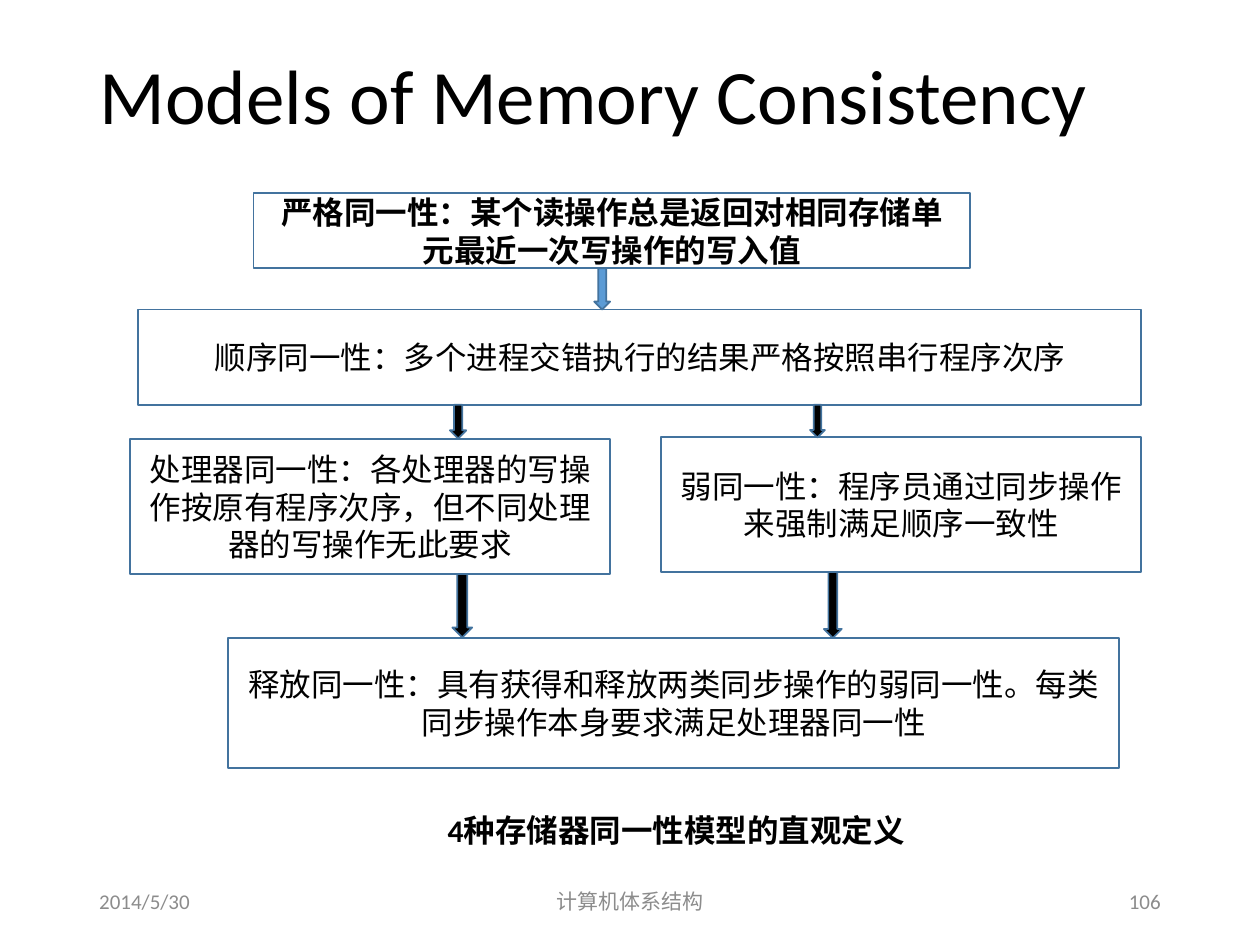
import pptx
import pptx.dml.color
import pptx.enum.shapes
import pptx.enum.text
import pptx.util

Cm = pptx.util.Cm
SHAPE = pptx.enum.shapes.MSO_SHAPE
ALIGN = pptx.enum.text.PP_ALIGN
ANCHOR = pptx.enum.text.MSO_ANCHOR

BLACK, GREY, BLUE, OUTLINE = "000000", "8C8C8C", "5B9BD5", "43739E"

# Consistency models: text, (left, top, width, height) in cm, bold
MODELS = [
    ("严格同一性：某个读操作总是返回对相同存储单元最近一次写操作的写入值",
     (5.11, 3.89, 14.45, 1.52), True),
    ("顺序同一性：多个进程交错执行的结果严格按照串行程序次序",
     (2.79, 6.24, 20.22, 1.92), False),
    ("处理器同一性：各处理器的写操作按原有程序次序，但不同处理器的写操作无此要求",
     (2.62, 8.85, 9.68, 2.72), False),
    ("弱同一性：程序员通过同步操作来强制满足顺序一致性",
     (13.33, 8.81, 9.68, 2.72), False),
    ("释放同一性：具有获得和释放两类同步操作的弱同一性。每类同步操作本身要求满足处理器同一性",
     (4.6, 12.86, 17.96, 2.62), False),
]

# Arrows from weaker to stricter rows: (left, top, width, height) in cm, fill
ARROWS = [
    ((11.98, 5.41, 0.32, 0.83), BLUE),
    ((9.07, 8.16, 0.33, 0.68), BLACK),
    ((16.33, 8.16, 0.3, 0.66), BLACK),
    ((9.12, 11.57, 0.4, 1.28), BLACK),
    ((16.61, 11.53, 0.36, 1.33), BLACK),
]

# Footer: text, left, width in cm, alignment
FOOTERS = [
    ("2014/5/30", 1.75, 5.72, ALIGN.LEFT),
    ("计算机体系结构", 8.41, 8.59, ALIGN.CENTER),
    ("106", 17.93, 5.72, ALIGN.RIGHT),
]


def rgb(value):
    return pptx.dml.color.RGBColor.from_string(value)


def apply(target, values):
    for name, value in values.items():
        setattr(target, name, value)


def write(shape, text, size, align=ALIGN.CENTER, color=BLACK, bold=False,
          anchor=ANCHOR.MIDDLE):
    frame = shape.text_frame
    apply(frame, {"word_wrap": True, "vertical_anchor": anchor})
    paragraph = frame.paragraphs[0]
    paragraph.alignment = align
    run = paragraph.add_run()
    run.text = text
    apply(run.font, {"name": "Calibri", "size": pptx.util.Pt(size), "bold": bold})
    run.font.color.rgb = rgb(color)
    return paragraph


def add_outlined(slide, kind, box, fill=None):
    shape = slide.shapes.add_shape(kind, *map(Cm, box))
    shape.shadow.inherit = False
    if fill:
        shape.fill.solid()
        shape.fill.fore_color.rgb = rgb(fill)
    else:
        shape.fill.background()
    shape.line.color.rgb = rgb(OUTLINE)
    shape.line.width = pptx.util.Pt(1)
    return shape


def add_label(slide, box, text, size, **style):
    write(slide.shapes.add_textbox(*map(Cm, box)), text, size, **style)


def add_title(slide, text):
    title = slide.shapes.title
    apply(title, {"left": Cm(1.75), "top": Cm(1.02),
                  "width": Cm(21.89), "height": Cm(1.98)})
    title.text_frame.auto_size = pptx.enum.text.MSO_AUTO_SIZE.NONE
    write(title, text, 44, align=ALIGN.LEFT).line_spacing = 0.9


def main():
    deck = pptx.Presentation()
    apply(deck, {"slide_width": Cm(25.4), "slide_height": Cm(19.05)})
    slide = deck.slides.add_slide(deck.slide_layouts[5])
    add_title(slide, "Models of Memory Consistency")

    # Footer row
    for text, left, width, align in FOOTERS:
        add_label(slide, (left, 17.65, width, 1.02), text, 12,
                  align=align, color=GREY)

    # Diagram
    for text, box, bold in MODELS:
        write(add_outlined(slide, SHAPE.RECTANGLE, box), text, 18, bold=bold)
    for box, fill in ARROWS:
        add_outlined(slide, SHAPE.DOWN_ARROW, box, fill)

    # Caption
    add_label(slide, (6.2, 16.23, 14.86, 1.02), "4种存储器同一性模型的直观定义", 18,
              bold=True, anchor=ANCHOR.TOP)

    deck.save("out.pptx")


if __name__ == "__main__":
    main()
